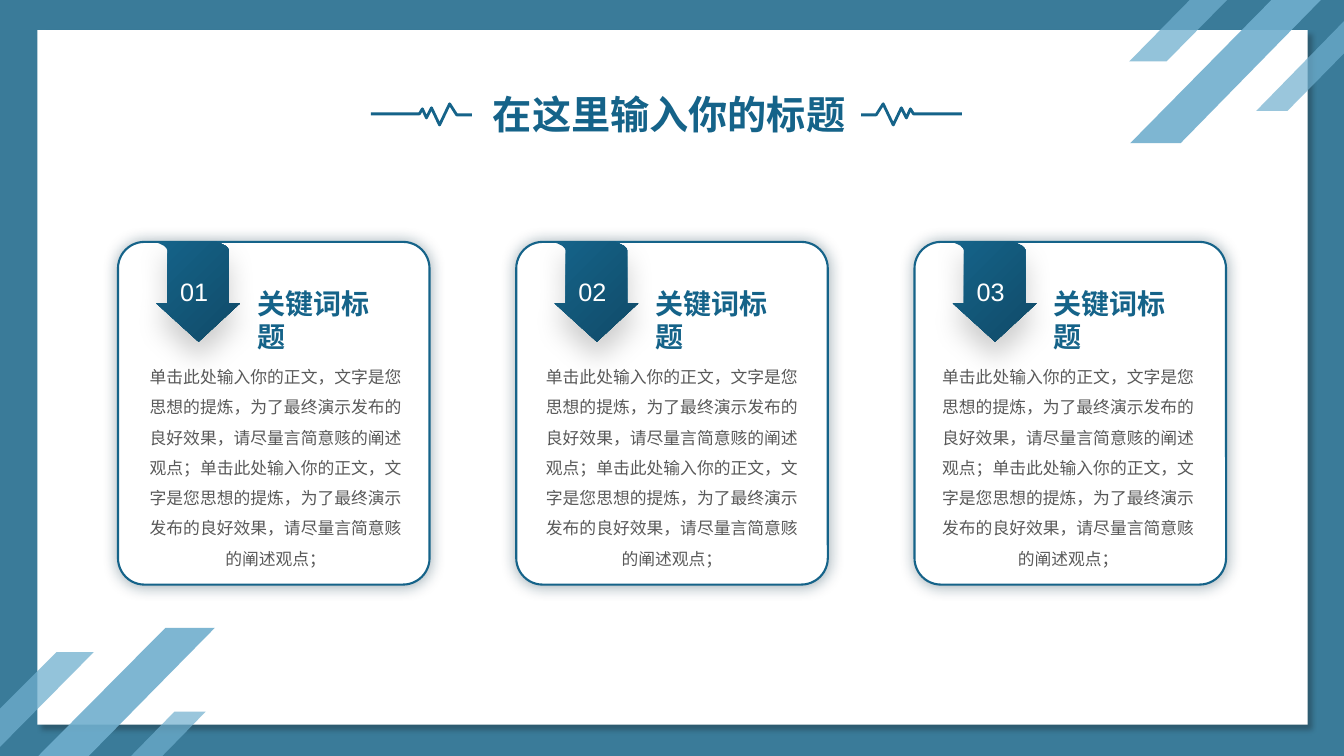
"""Build a slide with a title and three numbered keyword cards."""
from dataclasses import dataclass
from lxml import etree
from pptx import Presentation
from pptx import util as u
from pptx.dml.color import RGBColor
from pptx.enum import shapes as es, text as et
from pptx.oxml import ns

FRAME = RGBColor(0x3A, 0x7B, 0x99)
PAPER = RGBColor(0xF2, 0xF2, 0xF2)
WHITE = RGBColor(0xFF, 0xFF, 0xFF)
SKY = RGBColor(0x70, 0xAF, 0xCE)
BLUE = RGBColor(0x15, 0x63, 0x89)
DEEP = RGBColor(0x10, 0x4A, 0x67)
GRAY = RGBColor(0x59, 0x59, 0x59)
INK = RGBColor(0x0D, 0x0D, 0x0D)
NAVY = RGBColor(0x0B, 0x31, 0x44)
BLACK = RGBColor(0, 0, 0)
HAN = "Noto Sans CJK SC"
CLAUSE = ("单击此处输入你的正文，文字是您思想的提炼，"
          "为了最终演示发布的良好效果，请尽量言简意赅的阐述观点；")
Points = list[tuple[float, float]]


@dataclass
class Band:
    pts: Points
    alpha: int


@dataclass
class Shade:
    color: RGBColor
    alpha: int
    blur: float
    dist: float = 0
    angle: int = 0


@dataclass
class Style:
    size: int
    color: RGBColor
    font: str = "Arial"
    bold: bool = False


@dataclass
class Card:
    num: str
    left: float
    body: float


BANDS = [
    Band([(12.61, 0), (13.1, 0), (11.71, 1.42), (11.21, 1.42)], 90),
    Band([(11.8, 0), (12.17, 0), (11.57, 0.61), (11.2, 0.61)], 75),
    Band([(13.33, 0.21), (13.33, 0.53), (12.77, 1.1), (12.46, 1.1)], 70),
    Band([(1.64, 6.23), (2.13, 6.23), (0.88, 7.5), (0.38, 7.5)], 90),
    Band([(0.56, 6.47), (0.93, 6.47), (0, 7.41), (0, 7.03)], 75),
    Band([(1.73, 7.06), (2.04, 7.06), (1.6, 7.51), (1.29, 7.51)], 70),
]
PULSE = [(4.68, 1.14), (4.53, 1.14), (4.46, 1.03), (4.36, 1.24), (4.28, 1.07),
         (4.23, 1.17), (4.19, 1.08), (4.16, 1.13), (3.68, 1.13)]
ARROW = [(0.3, 0), (0.37, 0), (0.42, 0.02), (0.46, 0.04), (0.48, 0.06),
         (0.49, 0.08), (0.49, 0.61), (0.38, 0.61), (0.8, 0.99), (1.21, 0.61),
         (1.1, 0.61), (1.1, 0.08), (1.09, 0.06), (1.07, 0.04), (1.03, 0.02),
         (0.98, 0)]
CARDS = [Card(f"{i + 1:02}", 1.17 + 3.95 * i, 1.42 + 3.93 * i)
         for i in range(3)]
TOP = 2.4


def cast(shape, shade: Shade) -> None:
    """Give a shape an outer shadow."""
    shape.shadow.inherit = False
    fx = shape._element.spPr.find(ns.qn("a:effectLst"))
    outer = etree.SubElement(
        fx, ns.qn("a:outerShdw"), blurRad=str(u.Pt(shade.blur)),
        dist=str(u.Pt(shade.dist)), dir=str(shade.angle * 60000),
        algn="ctr", rotWithShape="0")
    tint = etree.SubElement(outer, ns.qn("a:srgbClr"), val=str(shade.color))
    etree.SubElement(tint, ns.qn("a:alpha"), val=str(shade.alpha * 1000))


def box(slide, kind, at: tuple[float, ...], color: RGBColor):
    """Add a plain filled preset shape."""
    shape = slide.shapes.add_shape(kind, *map(u.Inches, at))
    shape.shadow.inherit = False
    shape.fill.solid()
    shape.fill.fore_color.rgb = color
    shape.line.fill.background()
    return shape


def free(slide, pts: Points, close: bool = True):
    """Add an outline through the given points."""
    dots = [(u.Inches(x), u.Inches(y)) for x, y in pts]
    pen = slide.shapes.build_freeform(*dots[0], scale=1.0)
    pen.add_line_segments(dots[1:], close=close)
    shape = pen.convert_to_shape()
    shape.shadow.inherit = False
    return shape


def write(para, words: str, style: Style) -> None:
    """Add one styled run to a paragraph."""
    run = para.add_run()
    run.text = words
    font = run.font
    font.size = u.Pt(style.size)
    font.bold = style.bold
    font.name = style.font
    font.color.rgb = style.color
    etree.SubElement(run._r.get_or_add_rPr(), ns.qn("a:ea"), typeface=HAN)


def label(slide, at: tuple[float, ...], words: str, style: Style,
          wrap: bool = True, inset: bool = False):
    """Add a text box and return its paragraph."""
    frame = slide.shapes.add_textbox(*map(u.Inches, at)).text_frame
    frame.word_wrap = wrap
    frame.auto_size = et.MSO_AUTO_SIZE.SHAPE_TO_FIT_TEXT
    if not inset:
        frame.margin_left = frame.margin_right = 0
        frame.margin_top = frame.margin_bottom = 0
    write(frame.paragraphs[0], words, style)
    return frame.paragraphs[0]


def stripe(slide, band: Band) -> None:
    """Draw one translucent diagonal band."""
    shape = free(slide, band.pts)
    shape.line.fill.background()
    shape.fill.solid()
    shape.fill.fore_color.rgb = SKY
    tint = shape._element.spPr.find(ns.qn("a:solidFill"))[0]
    etree.SubElement(tint, ns.qn("a:alpha"), val=str(band.alpha * 1000))


def pulse(slide, pts: Points) -> None:
    """Draw one zigzag line beside the title."""
    shape = free(slide, pts, close=False)
    shape.fill.background()
    shape.line.color.rgb = BLUE
    shape.line.width = u.Pt(2)


def arrow(slide, card: Card) -> None:
    """Draw the numbered arrow of a card."""
    shape = free(slide, [(card.left + x, TOP + y) for x, y in ARROW])
    shape.line.fill.background()
    shape.fill.gradient()
    shape.fill.gradient_angle = 315
    stops = shape.fill.gradient_stops
    for stop, color, place in zip(stops, (BLUE, DEEP), (0.05, 1)):
        stop.color.rgb = color
        stop.position = place
    cast(shape, Shade(BLACK, 20, 20, 12, 90))
    frame = shape.text_frame
    frame.word_wrap = False
    frame.vertical_anchor = et.MSO_ANCHOR.MIDDLE
    frame.paragraphs[0].alignment = et.PP_ALIGN.CENTER
    write(frame.paragraphs[0], card.num, Style(18, WHITE))


def draw(slide, card: Card) -> None:
    """Draw a whole card."""
    pane = box(slide, es.MSO_SHAPE.ROUNDED_RECTANGLE,
               (card.left, TOP, 3.09, 3.4), WHITE)
    pane.adjustments[0] = 0.085
    pane.line.color.rgb = BLUE
    pane.line.width = u.Pt(1.5)
    cast(pane, Shade(NAVY, 40, 11))
    label(slide, (card.left + 1.38, 2.84, 1.39, 0.34), "关键词标题",
          Style(20, BLUE, bold=True), wrap=False)
    arrow(slide, card)
    para = label(slide, (card.body, 3.54, 2.63, 2.42), CLAUSE * 2,
                 Style(12, GRAY))
    para.alignment = et.PP_ALIGN.CENTER
    para.line_spacing = 1.5


def main() -> None:
    """Build and save the deck."""
    deck = Presentation()
    deck.slide_width, deck.slide_height = u.Inches(13.33), u.Inches(7.5)
    slide = deck.slides.add_slide(deck.slide_layouts[6])
    slide.background.fill.solid()
    slide.background.fill.fore_color.rgb = PAPER
    rect = es.MSO_SHAPE.RECTANGLE
    box(slide, rect, (0, 0, 13.33, 7.5), FRAME)
    cast(box(slide, rect, (0.37, 0.3, 12.6, 6.89), WHITE),
         Shade(INK, 30, 4, 5, 45))
    for band in BANDS:
        stripe(slide, band)
    pulse(slide, PULSE)
    pulse(slide, [(13.22 - x, y) for x, y in PULSE])
    label(slide, (4.79, 0.85, 3.75, 0.57), "在这里输入你的标题",
          Style(28, BLUE, HAN, True), inset=True)
    for card in CARDS:
        draw(slide, card)
    deck.save("out.pptx")


if __name__ == "__main__":
    main()
